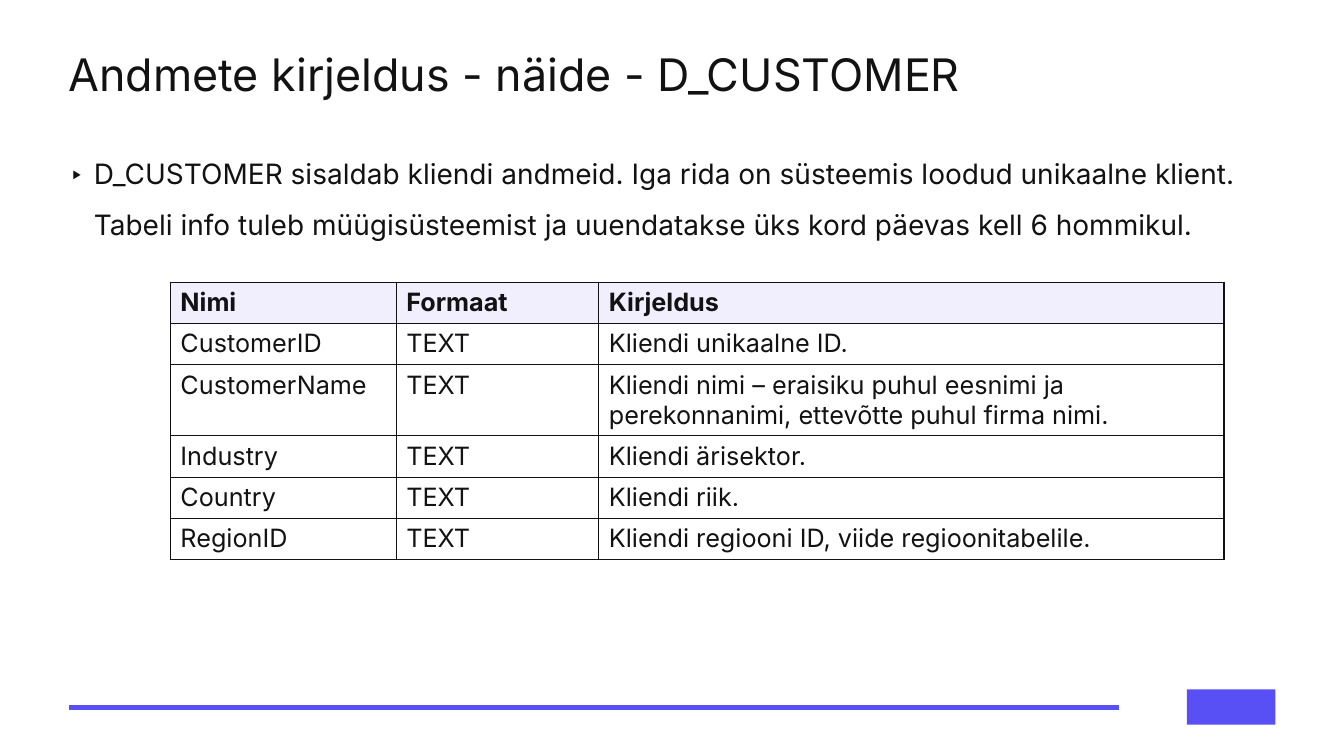
from lxml import etree
from pptx import Presentation
from pptx.dml.color import RGBColor
from pptx.enum.shapes import MSO_CONNECTOR, MSO_SHAPE
from pptx.enum.text import MSO_ANCHOR, MSO_AUTO_SIZE, PP_ALIGN
from pptx.oxml.ns import qn
from pptx.util import Inches, Pt

STRAIGHT = MSO_CONNECTOR.STRAIGHT
RECT = MSO_SHAPE.RECTANGLE
TOP = MSO_ANCHOR.TOP
LEFT = PP_ALIGN.LEFT
FIXED = MSO_AUTO_SIZE.NONE

INK = RGBColor(0x12, 0x12, 0x12)
VIOLET = RGBColor(0x58, 0x4F, 0xF5)
PALE = RGBColor(0xF1, 0xEF, 0xFE)
FONT = "Inter"

MARGIN = 5.1
COLS = [16.8, 15.08, 46.51]
ROW = 5.47
HEAD = ["Nimi", "Formaat", "Kirjeldus"]
FIELDS = [
    ("CustomerID", "Kliendi unikaalne ID."),
    ("CustomerName", "Kliendi nimi – eraisiku puhul eesnimi ja "
                     "perekonnanimi, ettevõtte puhul firma nimi."),
    ("Industry", "Kliendi ärisektor."),
    ("Country", "Kliendi riik."),
    ("RegionID", "Kliendi regiooni ID, viide regioonitabelile."),
]


def add_color(parent, tag, color):
    node = etree.SubElement(parent, qn(tag))
    etree.SubElement(node, qn("a:srgbClr"), val=str(color))


class Page:
    """Draws on one slide; lengths are percentages of its width and height."""

    def __init__(self, deck):
        self.wide, self.high = deck.slide_width, deck.slide_height
        self.slide = deck.slides.add_slide(deck.slide_layouts[1])
        self.shapes = self.slide.shapes

    def x(self, share):
        return round(self.wide * share / 100)

    def y(self, share):
        return round(self.high * share / 100)

    def box(self, left, top, width, height):
        return self.x(left), self.y(top), self.x(width), self.y(height)

    def style(self, para, size, bold=False):
        font = para.font
        font.name, font.size, font.bold = FONT, Pt(size), bold
        font.color.rgb = INK

    def fill_holder(self, index, text, area, size, spacing):
        """Place and format a template placeholder; return its paragraph."""
        shape = self.slide.placeholders[index]
        shape.left, shape.top, shape.width, shape.height = self.box(*area)
        frame = shape.text_frame
        frame.margin_left = frame.margin_right = 0
        frame.margin_top = frame.margin_bottom = 0
        frame.vertical_anchor = TOP
        frame.word_wrap, frame.auto_size = True, FIXED
        frame.text = text
        para = frame.paragraphs[0]
        para.alignment, para.line_spacing = LEFT, spacing
        para.space_before = Pt(0)
        return para

    def title(self, text, area):
        self.style(self.fill_holder(0, text, area, 32, 0.9), 32)

    def bullet(self, text, area):
        para = self.fill_holder(1, text, area, 20, 1.5)
        props = para._p.get_or_add_pPr()
        props.set("marL", str(Inches(0.25)))
        props.set("indent", str(-Inches(0.25)))
        add_color(props, "a:buClr", INK)
        etree.SubElement(props, qn("a:buFont"), typeface=FONT)
        etree.SubElement(props, qn("a:buChar"), char="‣")
        self.style(para, 20)

    def rule(self, left, right, level):
        line = self.shapes.add_connector(
            STRAIGHT, self.x(left), self.y(level), self.x(right), self.y(level))
        line.line.color.rgb, line.line.width = VIOLET, Pt(3)
        etree.SubElement(line._element.spPr, qn("a:effectLst"))

    def block(self, area):
        shape = self.shapes.add_shape(RECT, *self.box(*area))
        shape.shadow.inherit = False
        shape.fill.solid()
        shape.fill.fore_color.rgb = VIOLET
        shape.line.fill.background()

    def cell(self, cell, text, head):
        cell.text = text
        self.style(cell.text_frame.paragraphs[0], 18, head)
        props = cell._tc.get_or_add_tcPr()
        for side in ("a:lnL", "a:lnR", "a:lnT", "a:lnB"):
            edge = etree.SubElement(props, qn(side), w=str(Pt(1)))
            add_color(edge, "a:solidFill", INK)
        if head:
            cell.fill.solid()
            cell.fill.fore_color.rgb = PALE
        else:
            cell.fill.background()

    def table(self, rows, left, top):
        area = self.box(left, top, sum(COLS), ROW * len(rows))
        table = self.shapes.add_table(len(rows), len(COLS), *area).table
        table.horz_banding = False
        for column, width in zip(table.columns, COLS):
            column.width = self.x(width)
        for r, row in enumerate(rows):
            table.rows[r].height = self.y(ROW)
            for c, text in enumerate(row):
                self.cell(table.cell(r, c), text, r == 0)


def main():
    deck = Presentation()
    deck.slide_width, deck.slide_height = Inches(13.33), Inches(7.5)
    page = Page(deck)
    page.rule(MARGIN, 83.27, 93.6)
    page.block((88.3, 91.2, 6.6, 4.67))
    page.title("Andmete kirjeldus - näide - D_CUSTOMER",
               (MARGIN, 6.93, 82.37, 5.2))
    page.bullet("D_CUSTOMER sisaldab kliendi andmeid. Iga rida on süsteemis "
                "loodud unikaalne klient. Tabeli info tuleb müügisüsteemist ja "
                "uuendatakse üks kord päevas kell 6 hommikul.",
                (MARGIN, 18.53, 89.8, 65.07))
    rows = [HEAD] + [[name, "TEXT", note] for name, note in FIELDS]
    page.table(rows, 12.68, 37.33)
    deck.save("out.pptx")


if __name__ == "__main__":
    main()
